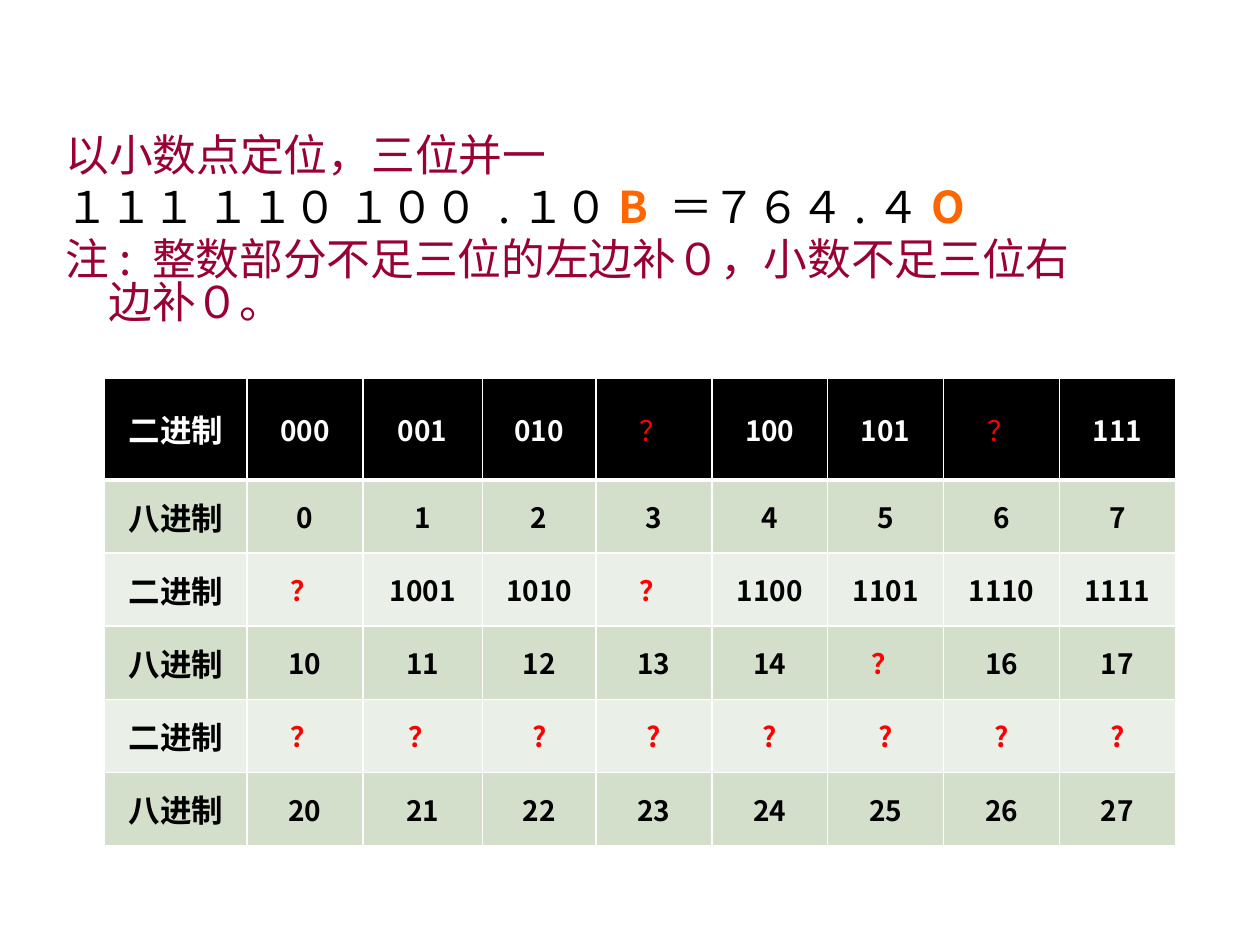
"""Build a slide on converting binary numbers to octal."""
from dataclasses import dataclass

from lxml.etree import SubElement
from pptx import Presentation
from pptx.dml.color import RGBColor
from pptx.enum.text import MSO_ANCHOR, MSO_AUTO_SIZE, PP_ALIGN
from pptx.oxml.ns import qn
from pptx.util import Inches, Pt


@dataclass(frozen=True)
class Theme:
    font: str = "Noto Sans CJK SC"
    white: str = "FFFFFF"
    black: str = "000000"
    rule: str = "990033"
    base: str = "FF6600"
    unknown: str = "FF0000"
    dark_band: str = "D3DECB"
    light_band: str = "EAEFE7"
    body_size: int = 25
    label_size: int = 18
    digit_size: int = 16


THEME = Theme()

RULES = [
    [("以小数点定位，三位并一", THEME.rule)],
    [
        ("１１１ １１０ １００ .１０", THEME.black),
        ("B ", THEME.base),
        ("＝７６４.４", THEME.black),
        ("O", THEME.base),
    ],
    [("注: 整数部分不足三位的左边补０，小数不足三位右边补０。", THEME.rule)],
]
CONVERSIONS = [
    ("二进制", "000", "001", "010", "？", "100", "101", "？", "111"),
    ("八进制", "0", "1", "2", "3", "4", "5", "6", "7"),
    ("二进制", "？", "1001", "1010", "？", "1100", "1101", "1110", "1111"),
    ("八进制", "10", "11", "12", "13", "14", "？", "16", "17"),
    ("二进制", "？", "？", "?", "?", "?", "?", "?", "?"),
    ("八进制", "20", "21", "22", "23", "24", "25", "26", "27"),
]
COLUMN_WIDTHS = [1.13, 0.92, 0.95, 0.9] + [0.92] * 5
ROW_HEIGHTS = [0.81] + [0.58] * 5


def style_font(font, size, color, bold):
    font.size = Pt(size)
    font.bold = bold
    font.color.rgb = RGBColor.from_string(color)


def set_typeface(font):
    font.name = THEME.font
    SubElement(font._element, qn("a:ea")).set("typeface", THEME.font)


def fill_solid(target, color):
    target.fill.solid()
    target.fill.fore_color.rgb = RGBColor.from_string(color)


def add_rules(body):
    body.left, body.top = Inches(0.42), Inches(0.99)
    body.width, body.height = Inches(8.5), Inches(2.68)
    fill_solid(body, THEME.white)
    frame = body.text_frame
    frame.word_wrap = True
    frame.auto_size = MSO_AUTO_SIZE.NONE
    frame.vertical_anchor = MSO_ANCHOR.TOP
    frame.margin_top = Inches(0.1)
    for index, parts in enumerate(RULES):
        paragraph = frame.add_paragraph() if index else frame.paragraphs[0]
        properties = paragraph._p.get_or_add_pPr()
        properties.set("marL", str(Inches(0.34)))
        properties.set("indent", str(-Inches(0.34)))
        SubElement(properties, qn("a:buNone"))
        paragraph.line_spacing = 0.82
        paragraph.space_before = Pt(5 if index else 0)
        for text, color in parts:
            run = paragraph.add_run()
            run.text = text
            style_font(run.font, THEME.body_size, color, color == THEME.base)
            set_typeface(run.font)


def set_borders(cell, widths):
    properties = cell._tc.get_or_add_tcPr()
    for position, (side, width) in enumerate(widths.items()):
        line = properties.makeelement(qn(f"a:{side}"), {"w": str(Pt(width))})
        fill = SubElement(line, qn("a:solidFill"))
        SubElement(fill, qn("a:srgbClr")).set("val", THEME.white)
        properties.insert(position, line)


def format_cell(cell, text, row, column):
    header = row == 0
    unknown = text in ("？", "?")
    band = THEME.dark_band if row % 2 else THEME.light_band
    fill_solid(cell, THEME.black if header else band)
    set_borders(cell, {
        "lnL": 1,
        "lnR": 1,
        "lnT": 3 if row == 1 else 1,
        "lnB": 3 if header else 1,
    })
    cell.vertical_anchor = MSO_ANCHOR.MIDDLE
    cell.margin_left = cell.margin_right = Inches(0.1)
    cell.margin_top = cell.margin_bottom = Inches(0.04)
    cell.text = text
    paragraph = cell.text_frame.paragraphs[0]
    paragraph.alignment = PP_ALIGN.CENTER
    font = paragraph.runs[0].font
    color = THEME.white if header else THEME.black
    size = THEME.digit_size if column else THEME.label_size
    style_font(font, size, THEME.unknown if unknown else color, not (header and unknown))
    set_typeface(font)


def add_conversions(slide):
    table = slide.shapes.add_table(
        len(CONVERSIONS), len(COLUMN_WIDTHS), Inches(0.83), Inches(3),
        Inches(sum(COLUMN_WIDTHS)), Inches(sum(ROW_HEIGHTS)),
    ).table
    table.horz_banding = False
    for column, width in zip(table.columns, COLUMN_WIDTHS):
        column.width = Inches(width)
    for row, height in zip(table.rows, ROW_HEIGHTS):
        row.height = Inches(height)
    for row, values in enumerate(CONVERSIONS):
        for column, text in enumerate(values):
            format_cell(table.cell(row, column), text, row, column)


def main():
    presentation = Presentation()
    presentation.slide_width, presentation.slide_height = Inches(10), Inches(7.5)
    slide = presentation.slides.add_slide(presentation.slide_layouts[1])
    title = slide.shapes.title._element
    title.getparent().remove(title)
    add_rules(slide.placeholders[1])
    add_conversions(slide)
    presentation.save("out.pptx")


if __name__ == "__main__":
    main()
